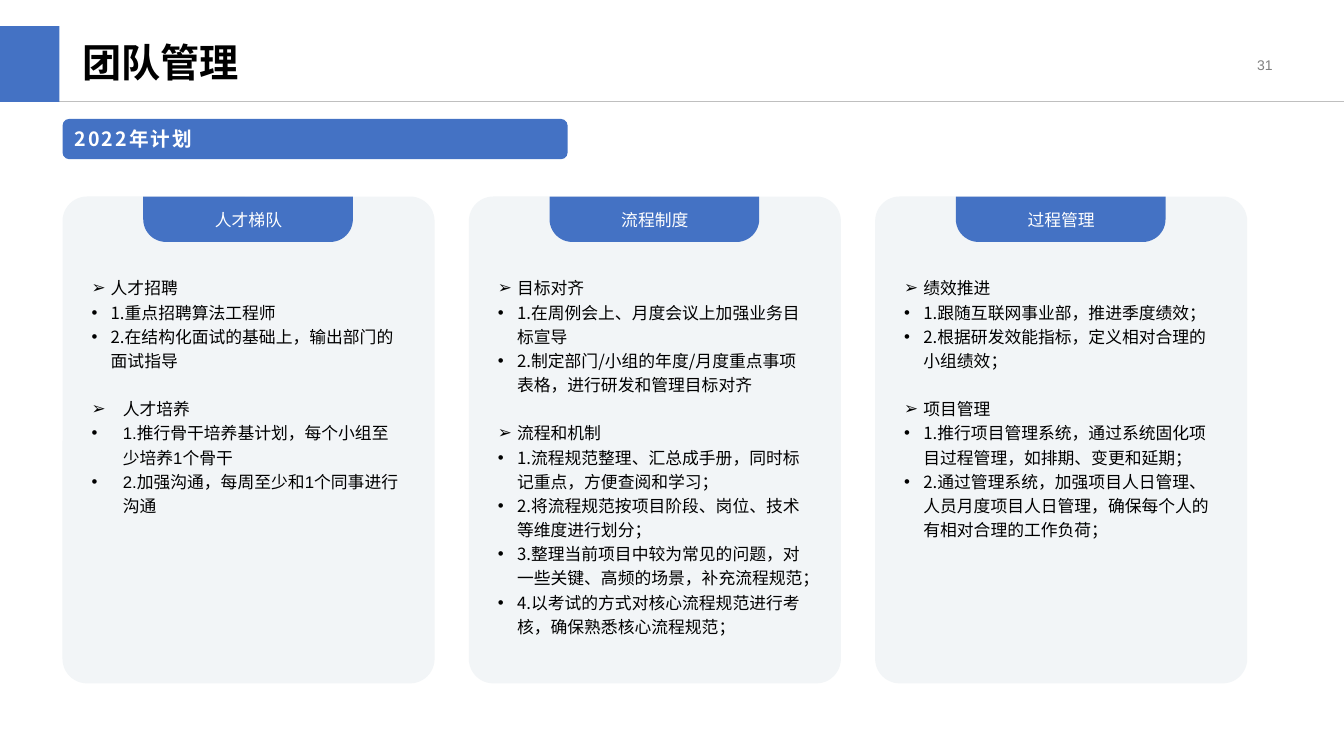
from pptx import Presentation
from pptx.dml.color import RGBColor
from pptx.enum.shapes import MSO_CONNECTOR, MSO_SHAPE as SHAPE
from pptx.enum.text import MSO_ANCHOR as ANCHOR, PP_ALIGN as ALIGN
from pptx.oxml.ns import qn
from pptx.util import Inches, Pt
from lxml.etree import SubElement

BLUE = RGBColor(0x44, 0x72, 0xC4)
CARD_GREY = RGBColor(0xF2, 0xF5, 0xF7)
RULE_GREY = RGBColor(0xBF, 0xBF, 0xBF)
NUMBER_GREY = RGBColor(0x80, 0x80, 0x80)
BLACK = RGBColor(0, 0, 0)
WHITE = RGBColor(0xFF, 0xFF, 0xFF)

CARD_LEFT, CARD_TOP, CARD_PITCH = 0.62, 1.95, 4.03
CARD_WIDTH, CARD_HEIGHT = 3.69, 4.83

# Each card: tab label, then sections of (heading, items, indent, font)
CARDS = [
    ("人才梯队", [
        ("人才招聘", [
            "1.重点招聘算法工程师",
            "2.在结构化面试的基础上，输出部门的面试指导",
        ], 0.19, "Noto Sans CJK SC"),
        ("人才培养", [
            "1.推行骨干培养基计划，每个小组至少培养1个骨干",
            "2.加强沟通，每周至少和1个同事进行沟通",
        ], 0.31, "Arial"),
    ]),
    ("流程制度", [
        ("目标对齐", [
            "1.在周例会上、月度会议上加强业务目标宣导",
            "2.制定部门/小组的年度/月度重点事项表格，进行研发和管理目标对齐",
        ], 0.19, "Noto Sans CJK SC"),
        ("流程和机制", [
            "1.流程规范整理、汇总成手册，同时标记重点，方便查阅和学习；",
            "2.将流程规范按项目阶段、岗位、技术等维度进行划分；",
            "3.整理当前项目中较为常见的问题，对一些关键、高频的场景，补充流程规范；",
            "4.以考试的方式对核心流程规范进行考核，确保熟悉核心流程规范；",
        ], 0.19, "Noto Sans CJK SC"),
    ]),
    ("过程管理", [
        ("绩效推进", [
            "1.跟随互联网事业部，推进季度绩效；",
            "2.根据研发效能指标，定义相对合理的小组绩效；",
        ], 0.19, "Noto Sans CJK SC"),
        ("项目管理", [
            "1.推行项目管理系统，通过系统固化项目过程管理，如排期、变更和延期；",
            "2.通过管理系统，加强项目人日管理、人员月度项目人日管理，确保每个人的有相对合理的工作负荷；",
        ], 0.19, "Noto Sans CJK SC"),
    ]),
]


class SlideBuilder:
    cjk_font = "Noto Sans CJK SC"
    body_size = 12
    line_spacing = 1.2
    section_gap = Pt(17.3)

    def __init__(self, slide):
        self.slide = slide

    def shape(self, kind, x, y, w, h, fill, adjustments=()):
        sp = self.slide.shapes.add_shape(
            kind, Inches(x), Inches(y), Inches(w), Inches(h))
        sp.shadow.inherit = False
        sp.fill.solid()
        sp.fill.fore_color.rgb = fill
        sp.line.fill.background()
        for i, value in enumerate(adjustments):
            sp.adjustments[i] = value
        return sp

    def rule(self, x1, y1, x2, y2):
        line = self.slide.shapes.add_connector(
            MSO_CONNECTOR.STRAIGHT, Inches(x1), Inches(y1), Inches(x2), Inches(y2))
        line.line.color.rgb = RULE_GREY
        line.line.width = Pt(0.5)
        SubElement(line._element.spPr, qn("a:effectLst"))

    def text_box(self, x, y, w, h):
        tf = self.slide.shapes.add_textbox(
            Inches(x), Inches(y), Inches(w), Inches(h)).text_frame
        tf.word_wrap = True
        return tf

    def run(self, p, text, color, size=body_size, font=cjk_font, bold=False):
        r = p.add_run()
        r.text = text
        r.font.size = Pt(size)
        r.font.name = font
        r.font.bold = bold
        r.font.color.rgb = color
        SubElement(r._r.get_or_add_rPr(), qn("a:ea"), typeface=self.cjk_font)
        return r

    def bullet(self, p, char, indent):
        """Give the paragraph a hanging bullet; call after setting its spacing."""
        pPr = p._p.get_or_add_pPr()
        pPr.set("marL", str(Inches(indent)))
        pPr.set("indent", str(-Inches(indent)))
        SubElement(pPr, qn("a:buFont"), typeface="Arial")
        SubElement(pPr, qn("a:buChar"), char=char)

    def sections(self, tf, sections):
        p = tf.paragraphs[0]
        for n, (heading, items, indent, font) in enumerate(sections):
            for i, text in enumerate([heading, *items]):
                if n or i:
                    p = tf.add_paragraph()
                p.line_spacing = self.line_spacing
                if n and i == 0:
                    p.space_before = self.section_gap
                self.bullet(p, "•" if i else "➢", indent)
                self.run(p, text, BLACK, font=font)

    def card(self, x, label, sections):
        self.shape(SHAPE.ROUNDED_RECTANGLE, x, CARD_TOP,
                   CARD_WIDTH, CARD_HEIGHT, CARD_GREY, [0.066])
        self.sections(self.text_box(x + 0.19, 2.67, 3.3, 3.73), sections)
        tab = self.shape(SHAPE.ROUND_2_SAME_RECTANGLE, x + 0.8, CARD_TOP,
                         2.08, 0.45, BLUE, [0.5, 0])
        tab.rotation = 180
        p = self.text_box(x + 1.01, 2.03, 1.67, 0.3).paragraphs[0]
        p.alignment = ALIGN.CENTER
        self.run(p, label, WHITE, font="Arial")

    def header(self, title, number):
        self.rule(0, 1.01, 13.33, 1.01)
        self.shape(SHAPE.RECTANGLE, 0, 0.26, 0.59, 0.75, BLUE)
        p = self.text_box(0.72, 0.38, 7.94, 0.52).paragraphs[0]
        p.line_spacing = 0.9
        self.run(p, title, BLACK, size=28, bold=True)
        tf = self.text_box(9.72, 0.44, 3, 0.4)
        tf.vertical_anchor = ANCHOR.MIDDLE
        p = tf.paragraphs[0]
        p.alignment = ALIGN.RIGHT
        self.run(p, number, NUMBER_GREY, size=10, font="Arial")

    def banner(self, text):
        tf = self.shape(SHAPE.ROUNDED_RECTANGLE, 0.62, 1.18, 5.01, 0.4, BLUE).text_frame
        tf.vertical_anchor = ANCHOR.MIDDLE
        p = tf.paragraphs[0]
        p.alignment = ALIGN.LEFT
        p.space_after = Pt(4)
        r = self.run(p, text, WHITE, size=14, bold=True)
        r._r.get_or_add_rPr().set("spc", "150")


def main():
    prs = Presentation()
    prs.slide_width, prs.slide_height = Inches(13.33), Inches(7.5)
    builder = SlideBuilder(prs.slides.add_slide(prs.slide_layouts[6]))
    builder.header("团队管理", "31")
    builder.banner("2022年计划")
    for i, (label, sections) in enumerate(CARDS):
        builder.card(CARD_LEFT + i * CARD_PITCH, label, sections)
    prs.save("out.pptx")


if __name__ == "__main__":
    main()
